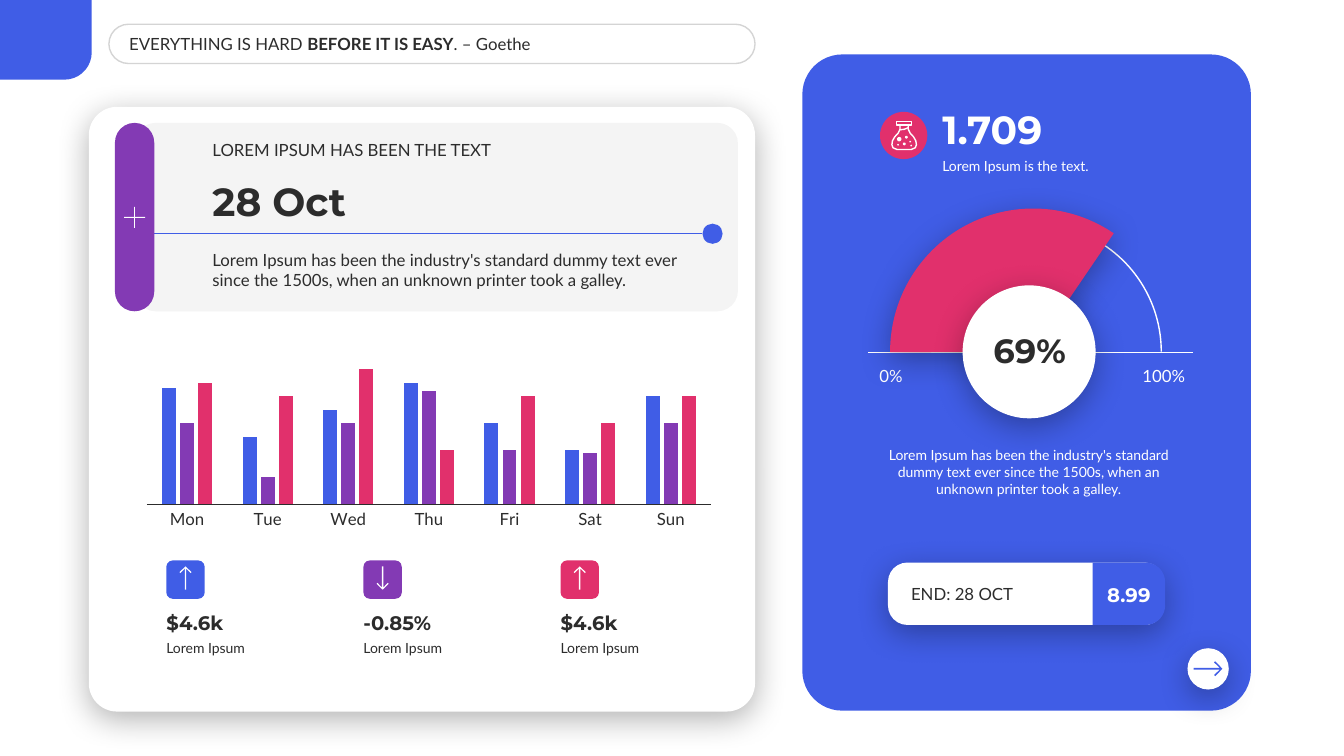
from math import cos, radians, sin

from lxml import etree
from pptx import Presentation
from pptx.chart.data import CategoryChartData
from pptx.dml.color import RGBColor
from pptx.enum.chart import XL_CHART_TYPE, XL_TICK_MARK
from pptx.enum.shapes import MSO_CONNECTOR, MSO_SHAPE
from pptx.enum.text import MSO_ANCHOR, MSO_AUTO_SIZE, PP_ALIGN
from pptx.oxml.ns import qn
from pptx.util import Pt

BLUE = RGBColor(0x40, 0x5D, 0xE6)
PURPLE = RGBColor(0x83, 0x3A, 0xB4)
PINK = RGBColor(0xE1, 0x30, 0x6C)
INK = RGBColor(0x2C, 0x2C, 0x2C)
WHITE = RGBColor(0xFF, 0xFF, 0xFF)
ROUND, OVAL, ARC, CROSS = (MSO_SHAPE.ROUNDED_RECTANGLE, MSO_SHAPE.OVAL,
                           MSO_SHAPE.ARC, MSO_SHAPE.CROSS)
COLUMN = XL_CHART_TYPE.COLUMN_CLUSTERED
NONE = XL_TICK_MARK.NONE
STRAIGHT = MSO_CONNECTOR.STRAIGHT
TOP, MIDDLE, BOTTOM = MSO_ANCHOR.TOP, MSO_ANCHOR.MIDDLE, MSO_ANCHOR.BOTTOM
LEFT, CENTER = PP_ALIGN.LEFT, PP_ALIGN.CENTER
GROW = MSO_AUTO_SIZE.SHAPE_TO_FIT_TEXT
BODY, HEAD = "Lato", "Montserrat"
LOREM = ("Lorem Ipsum has been the industry's standard dummy text ever "
         "since the 1500s, when an unknown printer took a galley.")
DAYS = ["Mon", "Tue", "Wed", "Thu", "Fri", "Sat", "Sun"]
SERIES = [
    ("Series 1", [86, 50, 70, 90, 60, 40, 80], BLUE),
    ("Series 2", [60, 20, 60, 84, 40, 38, 60], PURPLE),
    ("Series 3", [90, 80, 100, 40, 80, 60, 80], PINK),
]
STATS = [("$4.6k", BLUE, 0), ("-0.85%", PURPLE, 180), ("$4.6k", PINK, 0)]
ARROW = [(0, -.5), (.26, -.25), (.22, -.21), (.03, -.41), (.03, .5),
         (-.03, .5), (-.03, -.41), (-.22, -.21), (-.26, -.25)]
FLASK = [(6.4, 3), (6.4, 6), (5, 8.8), (2.6, 11.4), (1, 14.2), (.6, 17),
         (1.4, 19.2), (4.3, 20.4), (14.4, 20.4), (17.3, 19.2), (18.1, 17),
         (17.7, 14.2), (16.1, 11.4), (13.7, 8.8), (12.3, 6), (12.3, 3)]
CAP = [(4, .5), (14.7, .5), (14.7, 2.9), (4, 2.9)]
LEVEL = [(6, 6.3), (9.4, 6), (12.3, 4.8)]
DOTS = [(5.8, 13, 1.6), (10.9, 11.6, 1), (9.4, 16.4, 1),
        (5, 17, .6), (14.4, 17.6, .6), (13.7, 14.8, .6)]


def paint(shape, fill=None, alpha=None, line=None, width=1):
    """Set fill, opacity in percent and line, without a theme shadow."""
    shape.shadow.inherit = False
    if fill is None:
        shape.fill.background()
    else:
        shape.fill.solid()
        shape.fill.fore_color.rgb = fill
    if line is None:
        shape.line.fill.background()
    else:
        shape.line.color.rgb = line
        shape.line.width = Pt(width)
    if alpha:
        for color in shape._element.spPr.iter(qn("a:srgbClr")):
            etree.SubElement(color, qn("a:alpha"), val=str(alpha * 1000))
    return shape


def lift(shape):
    """Add a soft shadow below a shape."""
    effects = shape._element.spPr.find(qn("a:effectLst"))
    outer = etree.SubElement(effects, qn("a:outerShdw"), blurRad=str(Pt(23)),
                             dist=str(Pt(6)), dir="5400000", rotWithShape="0")
    color = etree.SubElement(outer, qn("a:srgbClr"), val="000000")
    etree.SubElement(color, qn("a:alpha"), val="30000")


def block(shapes, kind, box, adjust=(), **look):
    """Add a preset shape."""
    shape = shapes.add_shape(kind, *map(Pt, box))
    for spot, value in enumerate(adjust):
        shape.adjustments[spot] = value
    return paint(shape, **look)


def draw(shapes, paths, close=True, **look):
    """Add a freeform made of one or more point lists."""
    paths = [[(Pt(x), Pt(y)) for x, y in path] for path in paths]
    form = shapes.build_freeform(*paths[0][0])
    for spot, path in enumerate(paths):
        if spot:
            form.move_to(*path[0])
        form.add_line_segments(path[1:], close=close)
    return paint(form.convert_to_shape(), **look)


def plate(shapes, box, top, low):
    """Add a blue plate with the given radii at its right corners."""
    x, y, wide, high = box
    points = [(x, y)]
    for radius, mid, start in ((top, y + top, -90), (low, y + high - low, 0)):
        for turn in range(start, start + 91, 10):
            angle = radians(turn)
            points.append((x + wide - radius + radius * cos(angle),
                           mid + radius * sin(angle)))
    draw(shapes, [points + [(x, y + high)]], fill=BLUE)


def arrow(shapes, x, y, size, turn, color):
    """Add a thin arrow around a centre, turned clockwise from up."""
    c, s = cos(radians(turn)), sin(radians(turn))
    points = [(x + size * (a * c - b * s), y + size * (a * s + b * c))
              for a, b in ARROW]
    draw(shapes, [points], fill=color)


def flask(shapes, x, y):
    """Add a flask icon with bubbles."""
    for path, close in ((FLASK, False), (CAP, True), (LEVEL, False)):
        points = [(x + a, y + b) for a, b in path]
        draw(shapes, [points], close, line=WHITE)
    for a, b, r in DOTS:
        block(shapes, OVAL, (x + a - r, y + b - r, 2 * r, 2 * r), fill=WHITE)


def rule(shapes, left, right, y, color, width):
    """Add a level line."""
    line = shapes.add_connector(STRAIGHT, Pt(left), Pt(y), Pt(right), Pt(y))
    line.line.color.rgb = color
    line.line.width = Pt(width)
    etree.SubElement(line._element.spPr, qn("a:effectLst"))


def label(shapes, box, text, size=12, font=BODY, color=INK, anchor=TOP,
          align=LEFT, inset=7.2, pad=3.6, wrap=True):
    """Add a text box; parts between bars are bold, as is the head font."""
    frame = shapes.add_textbox(*map(Pt, box)).text_frame
    frame.word_wrap, frame.auto_size = wrap, GROW
    frame.vertical_anchor = anchor
    frame.margin_left = frame.margin_right = Pt(inset)
    frame.margin_top = frame.margin_bottom = Pt(pad)
    para = frame.paragraphs[0]
    para.alignment = align
    for spot, part in enumerate(text.split("|")):
        run = para.add_run()
        run.text = part
        run.font.size, run.font.name = Pt(size), font
        run.font.bold = font == HEAD or spot % 2 == 1
        run.font.color.rgb = color


def graph(shapes, box):
    """Add the column chart of the week."""
    data = CategoryChartData()
    data.categories = DAYS
    for name, values, _ in SERIES:
        data.add_series(name, values)
    chart = shapes.add_chart(COLUMN, *map(Pt, box), data).chart
    chart.has_legend = chart.has_title = False
    chart.font.size, chart.font.name = Pt(12), BODY
    chart.font.color.rgb = INK
    scale, days = chart.value_axis, chart.category_axis
    scale.visible = scale.has_major_gridlines = False
    scale.minimum_scale, scale.maximum_scale = 0, 120
    days.major_tick_mark = days.minor_tick_mark = NONE
    days.format.line.color.rgb = INK
    days.format.line.width = Pt(0.5)
    plot = chart.plots[0]
    plot.gap_width, plot.overlap, plot.vary_by_categories = 220, -30, False
    for series, (_, _, color) in zip(plot.series, SERIES):
        series.format.fill.solid()
        series.format.fill.fore_color.rgb = color


def report(shapes):
    """Add the white card with date, chart and three figures."""
    block(shapes, ROUND, (96.5, 87.8, 430.6, 134.6), [.109], fill=INK, alpha=5)
    label(shapes, (144.7, 175, 367.2, 36), LOREM)
    label(shapes, (144.7, 123.1, 367.2, 41), "28 Oct", 28, HEAD, anchor=BOTTOM)
    label(shapes, (144.7, 96.5, 367.2, 21.6), "LOREM IPSUM HAS BEEN THE TEXT",
          anchor=BOTTOM)
    rule(shapes, 103.7, 501.8, 167, BLUE, 0.5)
    block(shapes, OVAL, (501.8, 159.8, 14.4, 14.4), fill=BLUE)
    block(shapes, ROUND, (82.1, 87.8, 28.1, 134.6), [.5], fill=PURPLE)
    block(shapes, CROSS, (88.6, 147.8, 15, 15), [.48], fill=WHITE)
    graph(shapes, (96.5, 241.9, 419.8, 138.2))
    for spot, (value, color, turn) in enumerate(STATS):
        x = 118.8 + 140.8 * spot
        block(shapes, ROUND, (x, 400.3, 27.4, 27.4), fill=color)
        arrow(shapes, x + 13.7, 412.9, 16.6, turn, WHITE)
        label(shapes, (x, 453.6, 101.5, 19.4), "Lorem Ipsum", 10, inset=0)
        label(shapes, (x, 432, 101.5, 24.5), value, 14, HEAD, anchor=BOTTOM,
              inset=0)


def gauge(shapes):
    """Add the half-circle gauge with its scale."""
    group = shapes.add_group_shape().shapes
    block(group, ARC, (646.6, 159.8, 182.9, 182.9), [107.89, 0], line=WHITE)
    rule(group, 619.9, 852.5, 252, WHITE, 1)
    for x, wide, text in ((625, 23, "0%"), (810, 42.5, "100%")):
        label(group, (x, 258.5, wide, 20.2), text, color=WHITE, anchor=MIDDLE,
              align=CENTER, inset=0, pad=0, wrap=False)
    lift(block(group, ARC, (635.8, 149, 204.5, 204.5), [107.89, 182.54],
               fill=PINK))
    label(shapes, (614.9, 315.4, 239.8, 43.9), LOREM, 10, color=WHITE,
          align=CENTER)
    lift(block(shapes, OVAL, (687.6, 203.8, 95, 95), fill=WHITE))
    label(shapes, (681.8, 231.8, 107.3, 36), "69%", 24, HEAD, anchor=MIDDLE,
          align=CENTER)


def main():
    """Build and save the slide."""
    deck = Presentation()
    deck.slide_width, deck.slide_height = Pt(960), Pt(540)
    shapes = deck.slides.add_slide(deck.slide_layouts[6]).shapes
    lift(block(shapes, ROUND, (63.4, 76.3, 475.9, 432), [.047], fill=WHITE))
    block(shapes, ROUND, (77.8, 17.3, 461.5, 28.1), [.5], line=INK, alpha=20)
    label(shapes, (89.3, 20.2, 437.8, 21.6),
          "EVERYTHING IS HARD |BEFORE IT IS EASY|. – Goethe", anchor=MIDDLE,
          inset=3)
    plate(shapes, (0, 0, 65.5, 56.9), 0, 19.4)
    block(shapes, ROUND, (573.1, 38.9, 320.4, 468.7), [.089], fill=BLUE)
    report(shapes)
    label(shapes, (666, 108.7, 196.6, 19.4), "Lorem Ipsum is the text.", 10,
          color=WHITE)
    label(shapes, (666, 71.3, 196.6, 41), "1.709", 28, HEAD, WHITE, BOTTOM)
    block(shapes, OVAL, (628.6, 79.9, 33.8, 33.8), fill=PINK)
    flask(shapes, 636.5, 86.4)
    gauge(shapes)
    lift(block(shapes, OVAL, (848.2, 463, 29.5, 29.5), fill=WHITE))
    arrow(shapes, 862.9, 477.7, 20.5, 90, BLUE)
    lift(block(shapes, ROUND, (634.3, 401.8, 197.3, 44.6), [.311], fill=WHITE))
    label(shapes, (643.7, 413.3, 141.1, 21.6), "END: 28 OCT", anchor=MIDDLE)
    plate(shapes, (780.5, 401.8, 51.8, 44.6), 14, 14)
    label(shapes, (780.5, 412.6, 51.8, 24.5), "8.99", 14, HEAD, WHITE, MIDDLE,
          CENTER, 3)
    deck.save("out.pptx")


if __name__ == "__main__":
    main()
